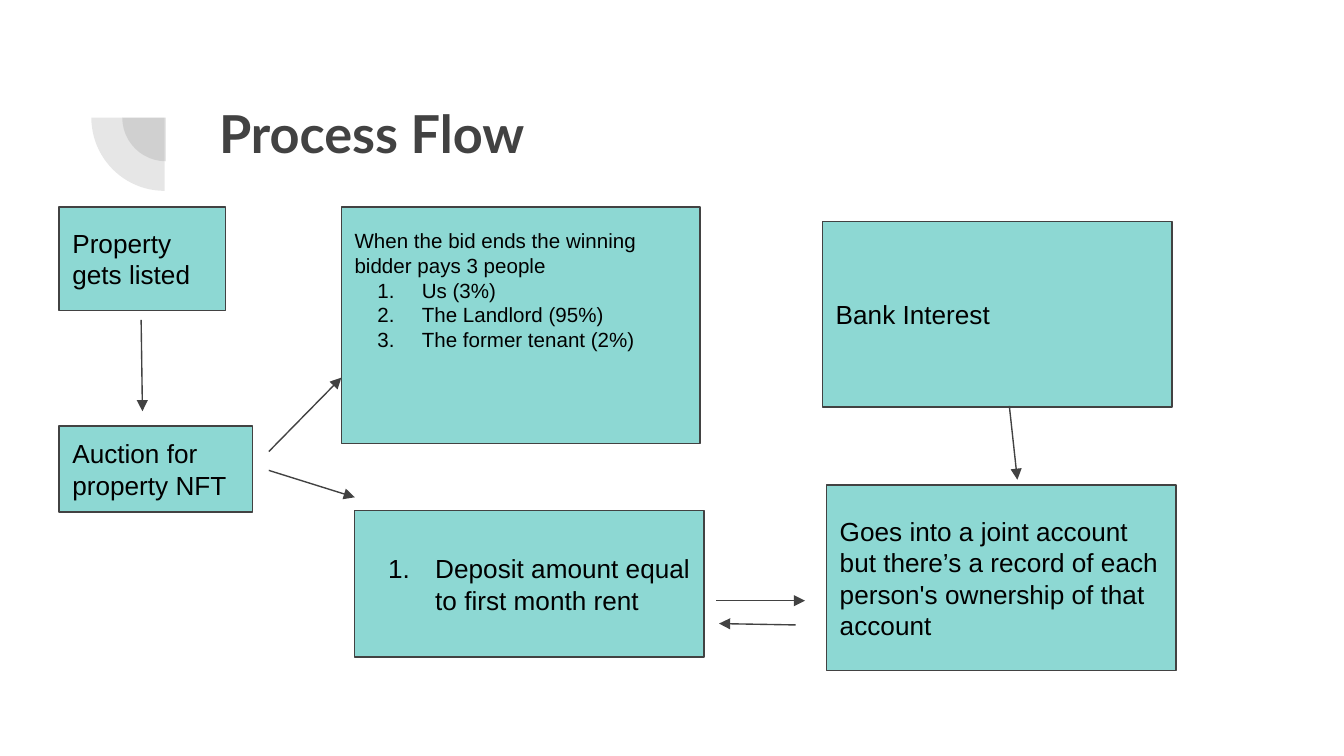
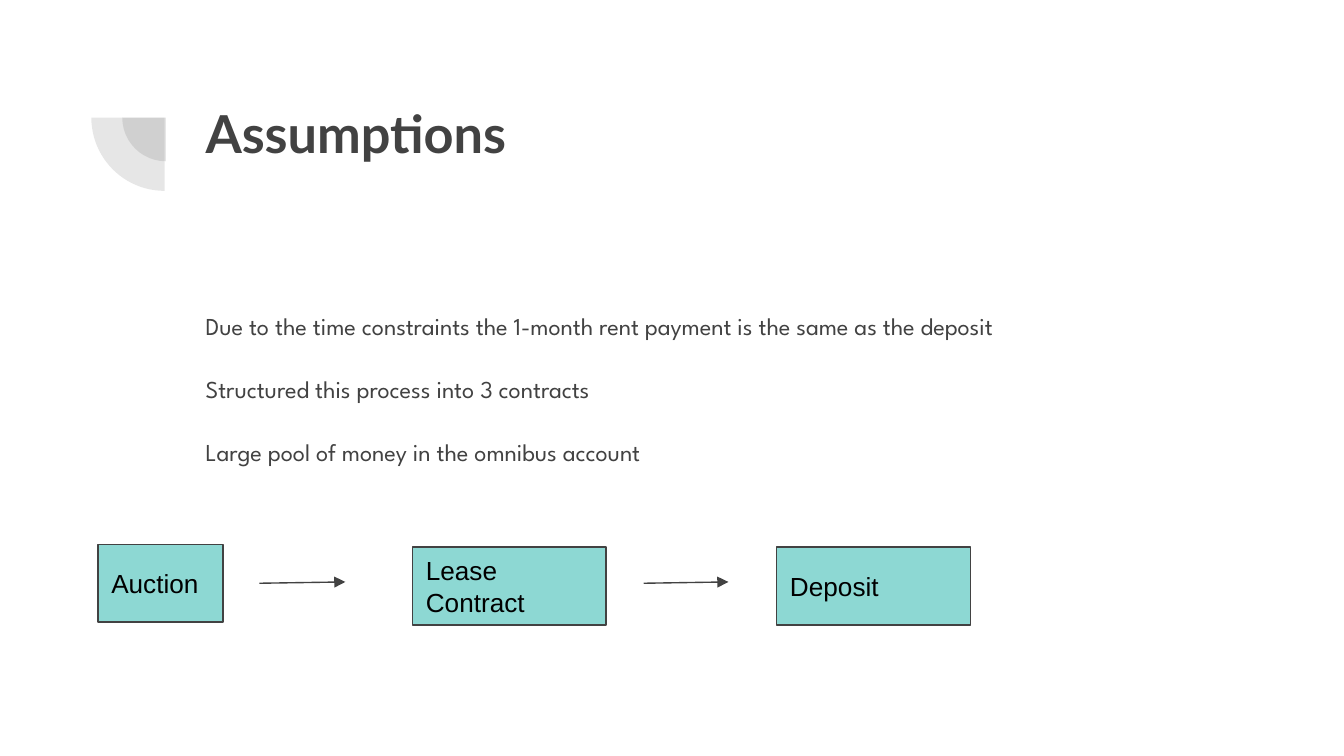
from lxml import etree
from pptx import Presentation
from pptx.dml.color import RGBColor
from pptx.enum.shapes import MSO_CONNECTOR, MSO_SHAPE
from pptx.enum.text import MSO_ANCHOR, MSO_AUTO_SIZE, PP_ALIGN
from pptx.oxml.ns import qn
from pptx.util import Inches, Pt

COLORS = {name: RGBColor.from_string(value) for name, value in {
    "ink": "424242", "box": "8DD8D3", "label": "000000"}.items()}


def write_text(shape, lines, font_name, size, color, bold=False,
               anchor=MSO_ANCHOR.MIDDLE, number_indent=0.35):
    """Fill a shape with left-aligned lines; those starting with # are numbered."""
    frame = shape.text_frame
    frame.word_wrap = True
    frame.auto_size = MSO_AUTO_SIZE.NONE
    frame.vertical_anchor = anchor
    frame.margin_left = frame.margin_right = Inches(0.1)
    frame.margin_top = frame.margin_bottom = Inches(0.1)
    frame.text = "\n".join(line.lstrip("#") for line in lines)
    for line, paragraph in zip(lines, frame.paragraphs):
        properties = paragraph._p.get_or_add_pPr()
        if line.startswith("#"):
            properties.set("marL", str(Inches(0.5)))
            properties.set("indent", str(-Inches(number_indent)))
            bullet_color = etree.SubElement(properties, qn("a:buClr"))
            etree.SubElement(bullet_color, qn("a:srgbClr"), val=str(color))
            etree.SubElement(properties, qn("a:buAutoNum"), type="arabicPeriod")
        else:
            properties.set("marL", "0")
            properties.set("indent", "0")
            etree.SubElement(properties, qn("a:buNone"))
        paragraph.alignment = PP_ALIGN.LEFT
        paragraph.space_before = Pt(0)
        font = paragraph.font
        font.name, font.size, font.bold = font_name, Pt(size), bold
        font.color.rgb = color


presentation = Presentation()
presentation.slide_width = Inches(10)
presentation.slide_height = Inches(5.625)
layout = presentation.slide_layouts[1]

# Each box: left, top, width, height, size, lines
# Each arrow: start x, start y, end x, end y
SLIDES = [
    {
        "title": "Process Flow",
        "title_margin": 0.2,
        "body": [],
        "boxes": [
            (2.64, 3.8, 2.6, 1.09, 14, ["#Deposit amount equal to first month rent"]),
            (2.54, 1.54, 2.67, 1.76, 11, [
                "When the bid ends the winning bidder pays 3 people",
                "#Us (3%)", "#The Landlord (95%)", "#The former tenant (2%)"]),
            (0.44, 1.54, 1.24, 0.77, 14, ["Property gets listed"]),
            (0.44, 3.17, 1.44, 0.64, 14, ["Auction for property NFT"]),
            (6.15, 3.61, 2.6, 1.38, 14, [
                "Goes into a joint account but there’s a record of each "
                "person's ownership of that account"]),
            (6.12, 1.65, 2.6, 1.38, 14, ["Bank Interest"]),
        ],
        "arrows": [
            (1.05, 2.38, 1.06, 3.06), (2, 3.36, 2.54, 2.81),
            (2, 3.5, 2.64, 3.7), (7.51, 3.02, 7.57, 3.57),
            (5.33, 4.47, 5.99, 4.47), (5.92, 4.65, 5.35, 4.64),
        ],
    },
    {
        "title": "Assumptions",
        "title_margin": 0.1,
        "body": [
            "Due to the time constraints the 1-month rent payment is the same as the deposit",
            "Structured this process into 3 contracts",
            "Large pool of money in the omnibus account",
        ],
        "boxes": [
            (5.78, 4.07, 1.44, 0.58, 14, ["Deposit"]),
            (0.73, 4.05, 0.93, 0.58, 14, ["Auction"]),
            (3.07, 4.07, 1.44, 0.58, 14, ["Lease Contract"]),
        ],
        "arrows": [(1.93, 4.34, 2.57, 4.33), (4.79, 4.34, 5.42, 4.33)],
    },
]

for content in SLIDES:
    slide = presentation.slides.add_slide(layout)
    title, body = slide.placeholders

    title.left, title.top = Inches(1.43), Inches(0.65)
    title.width, title.height = Inches(7.69), Inches(1.09)
    write_text(title, [content["title"]], "Lato", 28, COLORS["ink"],
               bold=True, anchor=MSO_ANCHOR.TOP)
    title.text_frame.margin_left = Inches(content["title_margin"])

    if content["body"]:
        body.left, body.top = Inches(1.43), Inches(2.18)
        body.width, body.height = Inches(7.69), Inches(2.78)
        write_text(body, content["body"], "League Spartan", 13, COLORS["ink"],
                   anchor=MSO_ANCHOR.TOP)
        for index, paragraph in enumerate(body.text_frame.paragraphs):
            paragraph.line_spacing = 1.15
            paragraph.space_before = Pt(16 if index else 0)
    else:
        body.element.getparent().remove(body.element)

    for left, top, width, height, size, lines in content["boxes"]:
        box = slide.shapes.add_shape(
            MSO_SHAPE.RECTANGLE, Inches(left), Inches(top), Inches(width), Inches(height))
        box.shadow.inherit = False
        box.fill.solid()
        box.fill.fore_color.rgb = COLORS["box"]
        box.line.color.rgb = COLORS["ink"]
        box.line.width = Pt(0.75)
        is_list = len(lines) > 1
        write_text(box, lines, "Arial", size, COLORS["label"],
                   anchor=MSO_ANCHOR.TOP if is_list else MSO_ANCHOR.MIDDLE,
                   number_indent=0.33 if is_list else 0.35)
        if is_list:
            box.text_frame.margin_top = Inches(0.16)

    for start_x, start_y, end_x, end_y in content["arrows"]:
        arrow = slide.shapes.add_connector(
            MSO_CONNECTOR.STRAIGHT, Inches(start_x), Inches(start_y),
            Inches(end_x), Inches(end_y))
        arrow.line.color.rgb = COLORS["ink"]
        arrow.line.width = Pt(0.75)
        etree.SubElement(arrow.line._get_or_add_ln(), qn("a:tailEnd"), type="triangle")
        etree.SubElement(arrow.element.spPr, qn("a:effectLst"))

# The quarter rings beside the title are shared through the slide master.
master_tree = presentation.slide_master.shapes.element
for shape_id, (left, top, diameter) in enumerate([(0.91, 0.55, 0.65), (0.68, 0.33, 1.09)], 101):
    quarter = slide.shapes.add_shape(
        MSO_SHAPE.PIE, Inches(left), Inches(top), Inches(diameter), Inches(diameter))
    quarter.adjustments[0], quarter.adjustments[1] = 108, 162
    quarter.rotation = 270
    quarter.shadow.inherit = False
    quarter.fill.solid()
    quarter.fill.fore_color.rgb = COLORS["ink"]
    quarter.line.fill.background()
    color = quarter.element.spPr.find(qn("a:solidFill")).find(qn("a:srgbClr"))
    etree.SubElement(color, qn("a:alpha"), val="13000")
    quarter.element.nvSpPr.cNvPr.set("id", str(shape_id))
    master_tree.append(quarter.element)

presentation.save("out.pptx")
